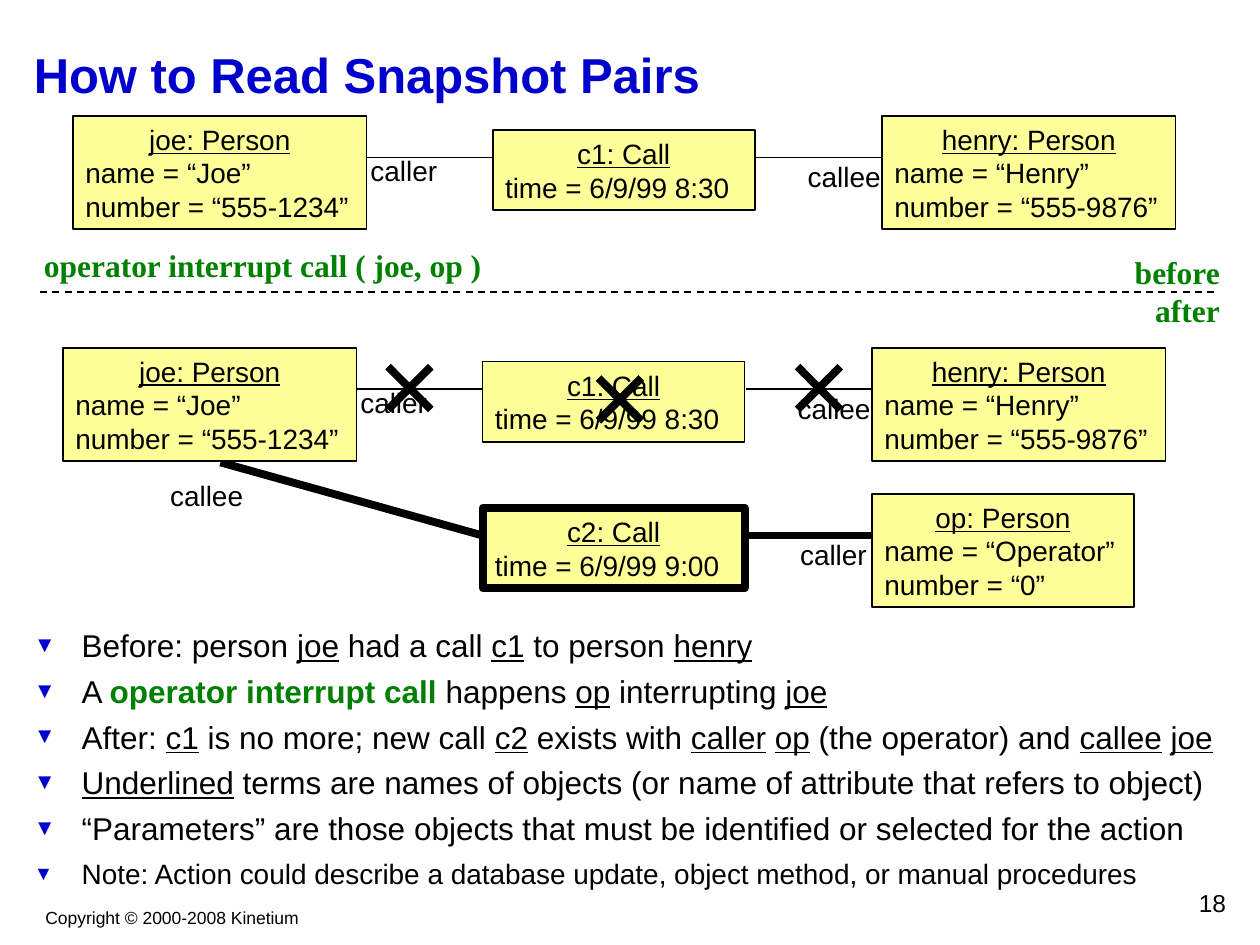
import pptx
import pptx.dml.color
import pptx.enum.dml
import pptx.enum.shapes
import pptx.enum.text
import pptx.oxml.ns
import pptx.util
from lxml import etree

Inches = pptx.util.Inches
Pt = pptx.util.Pt
ALIGN = pptx.enum.text.PP_ALIGN
ANCHOR = pptx.enum.text.MSO_ANCHOR

BLACK = pptx.dml.color.RGBColor(0x00, 0x00, 0x00)
BLUE = pptx.dml.color.RGBColor(0x00, 0x00, 0xCC)
GREEN = pptx.dml.color.RGBColor(0x00, 0x80, 0x00)
YELLOW = pptx.dml.color.RGBColor(0xFF, 0xFF, 0x99)

THIN, THICK = 1, 4.5
ACTION = "operator interrupt call"
READING_NOTES = [
    "Before: person _joe_ had a call _c1_ to person _henry_",
    f"A _{ACTION}_ happens _op_ interrupting _joe_",
    "After: _c1_ is no more; new call _c2_ exists with _caller_ _op_ (the operator) and _callee_ _joe_",
    "_Underlined_ terms are names of objects (or name of attribute that refers to object)",
    "“Parameters” are those objects that must be identified or selected for the action",
]
CLOSING_NOTE = ["Note: Action could describe a database update, object method, or manual procedures"]


def style_run(run, size, color=BLACK, bold=False, face="Arial"):
    """Apply font settings to one run."""
    run.font.size = Pt(size)
    run.font.name = face
    run.font.bold = bold
    run.font.color.rgb = color


def add_label(slide, text, left, top, width, height, size=16, color=BLACK, bold=False,
              face="Arial", align=ALIGN.CENTER, anchor=ANCHOR.TOP):
    """Add an unwrapped text box whose paragraphs share one style."""
    frame = slide.shapes.add_textbox(
        Inches(left), Inches(top), Inches(width), Inches(height)).text_frame
    frame.word_wrap = False
    frame.vertical_anchor = anchor
    frame.text = text
    for paragraph in frame.paragraphs:
        paragraph.alignment = align
        style_run(paragraph.runs[0], size, color, bold, face)


def add_link(slide, start, end, weight=THIN, dashed=False):
    """Draw a straight black line between two points."""
    link = slide.shapes.add_connector(
        pptx.enum.shapes.MSO_CONNECTOR.STRAIGHT, *[Inches(value) for value in (*start, *end)])
    link.line.color.rgb = BLACK
    link.line.width = Pt(weight)
    if dashed:
        link.line.dash_style = pptx.enum.dml.MSO_LINE.DASH
    etree.SubElement(link._element.spPr, pptx.oxml.ns.qn("a:effectLst"))


def add_object(slide, name, attributes, left, top, width, weight=THIN):
    """Draw an object box with an underlined name above its attributes."""
    height = 0.38 + 0.26 * len(attributes)
    box = slide.shapes.add_shape(
        pptx.enum.shapes.MSO_SHAPE.RECTANGLE,
        Inches(left), Inches(top), Inches(width), Inches(height))
    box.shadow.inherit = False
    box.fill.solid()
    box.fill.fore_color.rgb = YELLOW
    box.line.color.rgb = BLACK
    box.line.width = Pt(weight)
    frame = box.text_frame
    frame.word_wrap = True
    frame.vertical_anchor = ANCHOR.MIDDLE
    frame.text = "\n".join([name, *attributes])
    for paragraph in frame.paragraphs:
        paragraph.alignment = ALIGN.LEFT
        style_run(paragraph.runs[0], 16)
    frame.paragraphs[0].alignment = ALIGN.CENTER
    frame.paragraphs[0].runs[0].font.underline = True


def add_snapshot(slide, left, top):
    """Draw the joe-c1-henry snapshot with its top left corner at a point."""
    add_object(slide, "joe: Person", ["name = “Joe”", "number = “555-1234”"], left, top, 2.33)
    add_object(slide, "henry: Person", ["name = “Henry”", "number = “555-9876”"],
               left + 6.42, top, 2.33)
    add_label(slide, "caller", left + 2.26, top + 0.25, 0.73, 0.37)
    add_label(slide, "callee", left + 5.73, top + 0.3, 0.78, 0.37)
    add_object(slide, "c1: Call", ["time = 6/9/99 8:30"], left + 3.33, top + 0.11, 2.08)
    for start in (2.33, 5.42):
        add_link(slide, (left + start, top + 0.33), (left + start + 1, top + 0.33))


def add_cross(slide, center_x, center_y, reach=0.17):
    """Strike out a deleted element with a thick cross."""
    for rise in (reach, -reach):
        add_link(slide, (center_x - reach, center_y + rise),
                 (center_x + reach, center_y - rise), THICK)


def add_bullet(paragraph):
    """Give a paragraph a hanging blue triangle bullet."""
    properties = paragraph._p.get_or_add_pPr()
    properties.set("marL", str(Inches(0.38)))
    properties.set("indent", str(-Inches(0.38)))
    qn = pptx.oxml.ns.qn
    color = etree.SubElement(properties, qn("a:buClr"))
    etree.SubElement(color, qn("a:srgbClr"), val=str(BLUE))
    etree.SubElement(properties, qn("a:buSzPct"), val="70000")
    etree.SubElement(properties, qn("a:buFont"), typeface="Arial")
    etree.SubElement(properties, qn("a:buChar"), char="▼")


def add_notes_list(slide, notes, top, height, size):
    """Add bulleted notes in which underscores enclose the marked terms."""
    frame = slide.shapes.add_textbox(
        Inches(0.17), Inches(top), Inches(9.67), Inches(height)).text_frame
    frame.word_wrap = True
    for index, note in enumerate(notes):
        paragraph = frame.add_paragraph() if index else frame.paragraphs[0]
        add_bullet(paragraph)
        if index:
            paragraph.space_before = Pt(4.5)
        for position, words in enumerate(note.split("_")):
            if not words:
                continue
            run = paragraph.add_run()
            run.text = words
            is_action = words == ACTION
            style_run(run, size, GREEN if is_action else BLACK, is_action)
            run.font.underline = position % 2 == 1 and not is_action


def add_divider(slide):
    """Separate the before and after snapshots and name the action."""
    add_link(slide, (0.32, 2.32), (9.65, 2.32), dashed=True)
    heading = dict(size=18, color=GREEN, bold=True, face="Times New Roman", anchor=ANCHOR.MIDDLE)
    add_label(slide, "before\nafter", 8.9, 1.96, 0.88, 0.7, align=ALIGN.RIGHT, **heading)
    add_label(slide, f"{ACTION} ( joe, op )", 0.25, 1.9, 3.68, 0.4, align=ALIGN.LEFT, **heading)


def add_new_call(slide):
    """Draw the new call c2 and its links to the operator and joe."""
    add_object(slide, "c2: Call", ["time = 6/9/99 9:00"], 3.83, 4.03, 2.08, THICK)
    add_label(slide, "caller", 6.25, 4.22, 0.73, 0.37)
    add_label(slide, "callee", 1.25, 3.75, 0.78, 0.37)
    add_link(slide, (1.75, 3.67), (3.83, 4.25), THICK)
    add_link(slide, (5.92, 4.25), (6.92, 4.25), THICK)
    add_object(slide, "op: Person", ["name = “Operator”", "number = “0”"], 6.92, 3.92, 2.08)


def main():
    """Build the snapshot pair slide."""
    deck = pptx.Presentation()
    deck.slide_width, deck.slide_height = Inches(10), Inches(7.5)
    slide = deck.slides.add_slide(deck.slide_layouts[6])
    add_label(slide, "Copyright © 2000-2008 Kinetium", 0.26, 7.15, 2.21, 0.27, size=10)
    add_label(slide, "18", 7.75, 7, 2.08, 0.33, size=14, align=ALIGN.RIGHT)
    add_label(slide, "How to Read Snapshot Pairs", 0.17, 0.17, 9.67, 0.83, size=28,
              color=BLUE, bold=True, align=ALIGN.LEFT, anchor=ANCHOR.MIDDLE)
    add_notes_list(slide, READING_NOTES, 4.92, 2.08, 18)
    add_notes_list(slide, CLOSING_NOTE, 6.75, 0.33, 16)
    add_divider(slide)
    add_new_call(slide)
    add_snapshot(slide, 0.58, 0.92)
    add_snapshot(slide, 0.5, 2.76)
    for center_x, center_y in ((3.25, 3.08), (4.92, 3.17), (6.5, 3.08)):
        add_cross(slide, center_x, center_y)
    deck.save("out.pptx")


if __name__ == "__main__":
    main()
